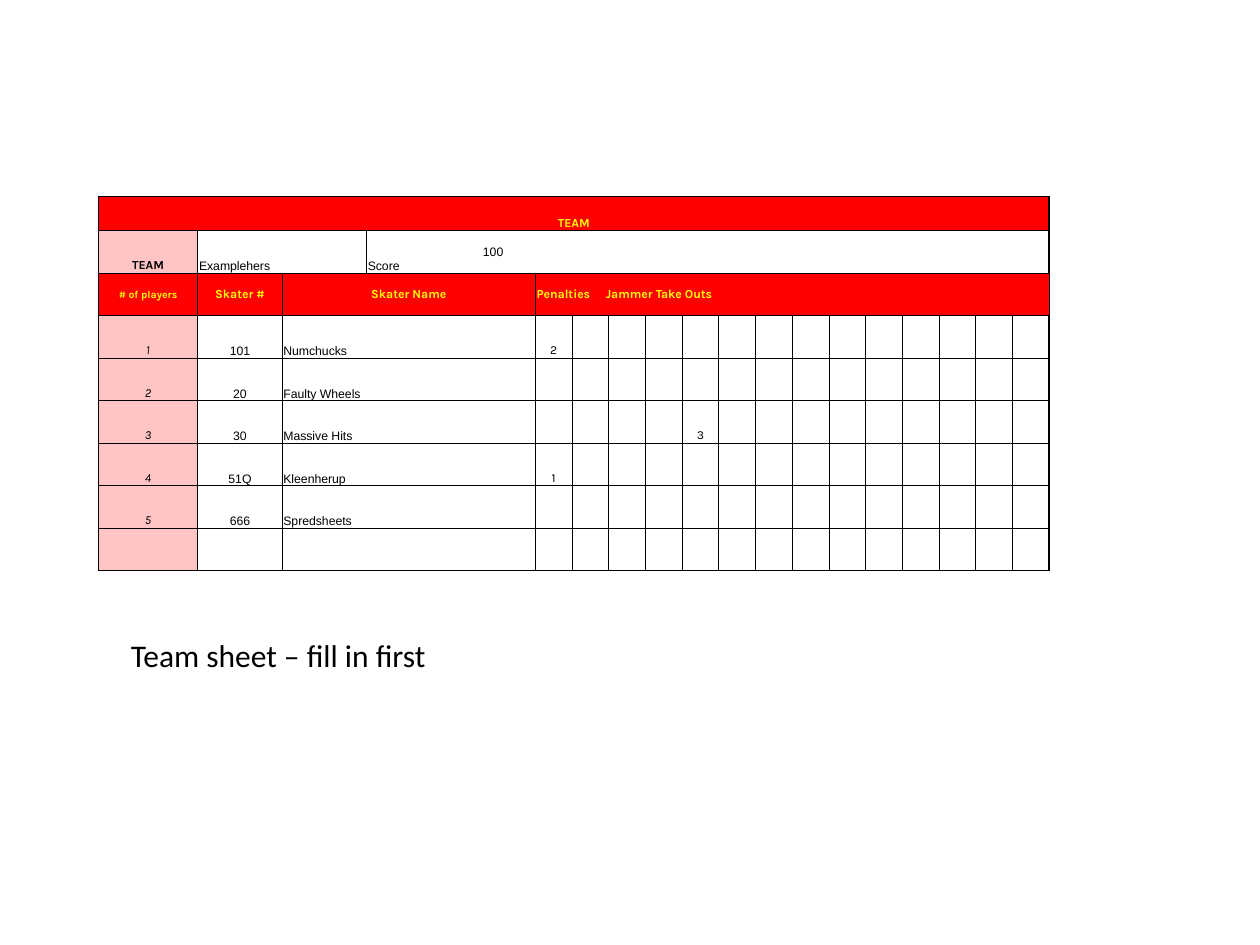
from dataclasses import dataclass

from lxml.etree import SubElement
from pptx import Presentation
from pptx.dml.color import RGBColor as Color
from pptx.enum.text import MSO_ANCHOR as Anchor, PP_ALIGN as Align
from pptx.oxml.ns import qn
from pptx.util import Inches, Pt


@dataclass(frozen=True)
class Theme:
    """Colours, fonts and type sizes of the team sheet."""
    red: str = "FF0000"
    pink: str = "FFC5C5"
    yellow: str = "FFFF00"
    black: str = "000000"
    heading_font: str = "Karla"
    body_font: str = "Arial"
    caption_font: str = "Calibri"
    small: float = 6
    normal: float = 7
    caption: float = 18
    thin: float = 0.5
    thick: float = 1


THEME = Theme()
PLAIN_STYLE = "{2D5ABB26-0587-4C30-8999-92F81FD0307C}"
NUMBER_COL, SKATER_COL, NAME_COL, TALLY_COL = 0, 1, 2, 5
TALLY_COUNT = 14
COLUMN_COUNT = TALLY_COL + TALLY_COUNT
LAST_COL = COLUMN_COUNT - 1
PLAYERS = [
    ("1", "101", "Numchucks", {0: "2"}),
    ("2", "20", "Faulty Wheels", {}),
    ("3", "30", "Massive Hits", {4: "3"}),
    ("4", "51Q", "Kleenherup", {0: "1"}),
    ("5", "666", "Spredsheets", {}),
    ("", "", "", {}),
]


def set_borders(cell, widths):
    """Draw black lines on the cell sides named in widths."""
    props = cell._tc.get_or_add_tcPr()
    for side in "LRTB":
        if side in widths:
            line = SubElement(props, qn(f"a:ln{side}"), w=str(Pt(widths[side])))
            SubElement(SubElement(line, qn("a:solidFill")), qn("a:srgbClr"), val=THEME.black)


def style_font(font, name, size, color=THEME.black, bold=False, italic=False):
    """Set every property of a font."""
    font.name, font.size, font.bold, font.italic = name, Pt(size), bold, italic
    font.color.rgb = Color.from_string(color)


def fill_cell(cell, text="", align=Align.CENTER, anchor=Anchor.BOTTOM, fill=None,
              font=THEME.body_font, size=THEME.normal, **look):
    """Write a cell's text and set its look."""
    cell.vertical_anchor = anchor
    if fill:
        cell.fill.solid()
        cell.fill.fore_color.rgb = Color.from_string(fill)
    else:
        cell.fill.background()
    para = cell.text_frame.paragraphs[0]
    para.text = text
    para.alignment = align
    style_font(para.font, font, size, **look)


def add_grid(page, left, top, width, height):
    """Add the empty ruled grid and return its table."""
    row_count = 3 + len(PLAYERS)
    table = page.shapes.add_table(row_count, COLUMN_COUNT, left, top, width, height).table
    table.first_row = table.horz_banding = False
    table._tbl.tblPr.find(qn("a:tableStyleId")).text = PLAIN_STYLE

    fixed = [Inches(0.79)] + [Inches(0.67)] * (TALLY_COL - 1)
    tally = (width - sum(fixed)) // TALLY_COUNT
    for column, size in zip(table.columns, fixed + [tally] * TALLY_COUNT):
        column.width = size
    title_height = Inches(0.27)
    for index, row in enumerate(table.rows):
        row.height = (height - title_height) // (row_count - 1) if index else title_height
        for col, cell in enumerate(row.cells):
            cell.margin_left = cell.margin_right = cell.margin_top = Inches(0.01)
            cell.margin_bottom = 0
            sides = dict.fromkeys("LRTB", THEME.thin)
            if index == 0:
                sides = dict.fromkeys("LRT", THEME.thick) | {"B": THEME.thin}
            if index == 1 and col > 1:
                del sides["L"]
            if index == 1 and 0 < col < LAST_COL:
                del sides["R"]
            if col == 0:
                sides["L"] = THEME.thick
            if col == LAST_COL:
                sides["R"] = THEME.thick
            set_borders(cell, sides)
            fill_cell(cell)

    spans = [(0, 0, LAST_COL), (1, 1, 2), (2, TALLY_COL, LAST_COL)]
    spans += [(row, NAME_COL, TALLY_COL - 1) for row in range(2, row_count)]
    for row, first, last in spans:
        table.cell(row, first).merge(table.cell(row, last))
    return table


def add_headings(table):
    """Fill the title, team and column heading rows."""
    bold = dict(font=THEME.heading_font, bold=True)
    banner = dict(bold, fill=THEME.red, color=THEME.yellow)
    heading = dict(banner, anchor=Anchor.MIDDLE)
    fill_cell(table.cell(0, 0), "TEAM", **banner)
    fill_cell(table.cell(1, 0), "TEAM", fill=THEME.pink, **bold)
    fill_cell(table.cell(1, 1), "Examplehers", Align.LEFT)
    fill_cell(table.cell(1, 3), "Score", Align.LEFT)
    fill_cell(table.cell(1, 4), "100", anchor=Anchor.MIDDLE)
    fill_cell(table.cell(2, NUMBER_COL), "# of players", size=THEME.small, **heading)
    fill_cell(table.cell(2, SKATER_COL), "Skater #", **heading)
    fill_cell(table.cell(2, NAME_COL), "Skater Name", **heading)

    tallies = table.cell(2, TALLY_COL)
    fill_cell(tallies, "Penalties\tJammer Take Outs", Align.LEFT, **heading)
    props = tallies.text_frame.paragraphs[0]._p.get_or_add_pPr()
    stops = SubElement(props, qn("a:tabLst"))
    SubElement(stops, qn("a:tab"), pos=str(Inches(0.55)), algn="l")
    props.insert(0, stops)


def add_players(table):
    """Fill one row for each player."""
    for row, (number, skater, name, tallies) in enumerate(PLAYERS, start=3):
        fill_cell(table.cell(row, NUMBER_COL), number, fill=THEME.pink,
                  font=THEME.heading_font, italic=True)
        fill_cell(table.cell(row, SKATER_COL), skater)
        fill_cell(table.cell(row, NAME_COL), name, Align.LEFT)
        for offset, count in tallies.items():
            fill_cell(table.cell(row, TALLY_COL + offset), count, font=THEME.heading_font)


def add_team_sheet(page, left, top, width, height):
    """Place the team sheet table in the given box."""
    table = add_grid(page, left, top, width, height)
    add_headings(table)
    add_players(table)


def add_caption(page, left, top, width, height):
    """Place the caption in the given box."""
    frame = page.shapes.add_textbox(left, top, width, height).text_frame
    frame.word_wrap = True
    para = frame.paragraphs[0]
    para.text = "Team sheet – fill in first"
    style_font(para.font, THEME.caption_font, THEME.caption)


def main():
    """Build and save the deck."""
    deck = Presentation()
    deck.slide_width, deck.slide_height = Inches(10), Inches(7.5)
    page = deck.slides.add_slide(deck.slide_layouts[6])
    add_team_sheet(page, Inches(0.78), Inches(1.56), Inches(7.55), Inches(2.97))
    add_caption(page, Inches(0.94), Inches(5), Inches(7.58), Inches(0.4))
    deck.save("out.pptx")


if __name__ == "__main__":
    main()
